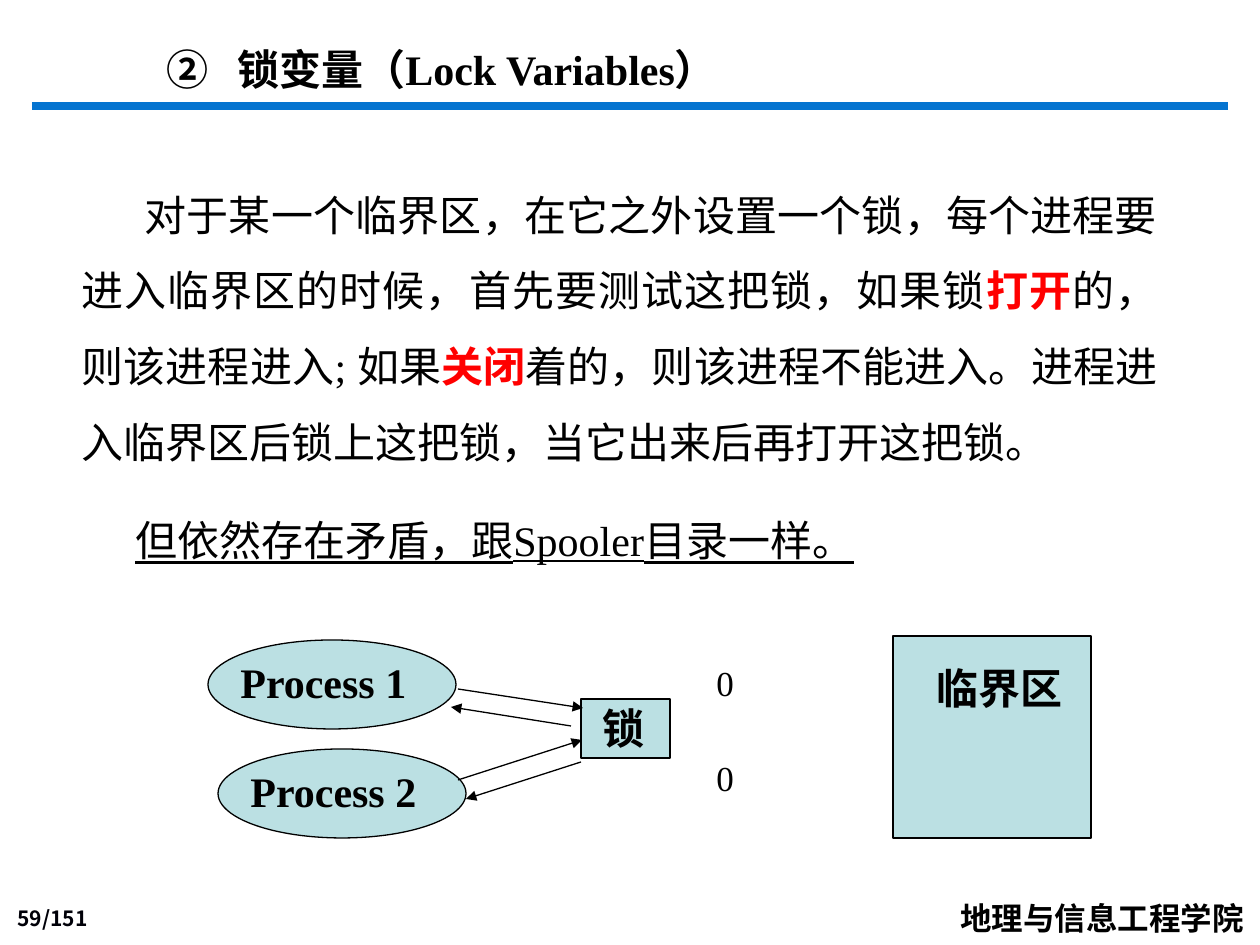
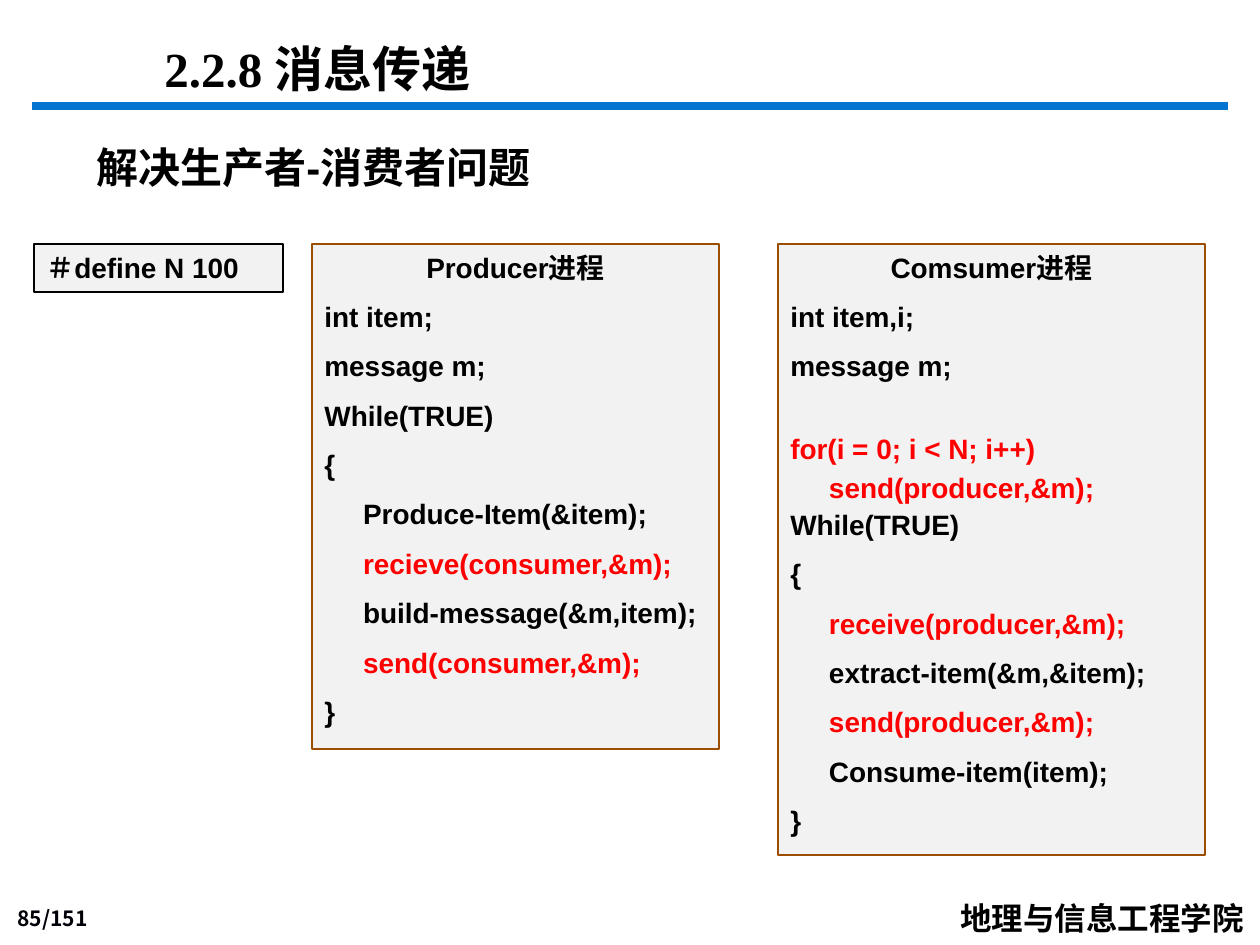
"""Build two lecture slides: lock variables and message passing."""
import dataclasses

import lxml.etree
import pptx
import pptx.dml.color
import pptx.enum.shapes
import pptx.enum.text
import pptx.oxml.ns
import pptx.util

ALIGN = pptx.enum.text.PP_ALIGN
ANCHOR = pptx.enum.text.MSO_ANCHOR
SHAPE = pptx.enum.shapes.MSO_SHAPE
PX = 914400 / 126


@dataclasses.dataclass(frozen=True)
class Theme:
    """Colours, typefaces and type sizes shared by the slides."""
    ink: str = "000000"
    number: str = "000008"
    accent: str = "FF0000"
    rule: str = "0574D0"
    diagram: str = "BBE0E3"
    panel: str = "F2F2F2"
    panel_edge: str = "9C4E00"
    serif: str = "Times New Roman"
    sans: str = "Arial"
    chinese: str = "Noto Sans CJK SC"
    number_face: str = "Noto Sans CJK JP"
    section: int = 28
    body: int = 24
    value: int = 20
    footer: int = 18
    code: int = 16
    small: int = 12
    rule_width: float = 4.5
    edge_width: float = 0.75


THEME = Theme()

SCHOOL = "地理与信息工程学院"
PAGE_TOTAL = 151
RULE = (32, 106, 1228, 106)
PAGE_BOX = (0, 900, 100, 37)
SCHOOL_BOX = (948, 893, 311, 50)

LOCK_TITLE = "锁变量（Lock Variables）"
LOCK_BODY = [
    ("对于某一个临界区，在它之外设置一个锁，每个进程要进入临界区的时候，首先要测试这把锁，如果锁", False),
    ("打开", True),
    ("的，则该进程进入; 如果", False),
    ("关闭", True),
    ("着的，则该进程不能进入。进程进入临界区后锁上这把锁，当它出来后再打开这把锁。", False),
]
LOCK_REMARK = "但依然存在矛盾，跟Spooler目录一样。"
LOCK_NODES = [
    ("临界区", SHAPE.RECTANGLE, (893, 636, 198, 202), (924, 656, 159, 63)),
    ("锁", SHAPE.RECTANGLE, (581, 699, 89, 59), (590, 696, 79, 63)),
    ("Process 1", SHAPE.OVAL, (208, 640, 248, 89), (228, 650, 258, 63)),
    ("Process 2", SHAPE.OVAL, (218, 749, 248, 89), (238, 759, 258, 63)),
]
LOCK_ARROWS = [
    (458, 689, 583, 708),
    (571, 726, 451, 707),
    (458, 780, 582, 740),
    (581, 762, 466, 799),
]
LOCK_VALUES = [("0", 655), ("0", 750)]

MESSAGE_TITLE = "2.2.8 消息传递"
MESSAGE_SUBTITLE = "解决生产者-消费者问题"
LINE_GAP = 9
DEFINE = [("＃define N 100", False, 0)]
PRODUCER = [
    ("Producer进程", False, 0),
    ("int item;", False, LINE_GAP),
    ("message m;", False, LINE_GAP),
    ("While(TRUE)", False, LINE_GAP),
    ("{", False, LINE_GAP),
    ("     Produce-Item(&item);", False, LINE_GAP),
    ("     recieve(consumer,&m);", True, LINE_GAP),
    ("     build-message(&m,item);", False, LINE_GAP),
    ("     send(consumer,&m);", True, LINE_GAP),
    ("}", False, LINE_GAP),
]
CONSUMER = [
    ("Comsumer进程", False, 0),
    ("int item,i;", False, LINE_GAP),
    ("message m;", False, LINE_GAP),
    ("for(i = 0; i < N; i++)", True, 28),
    ("     send(producer,&m);", True, 3),
    ("While(TRUE)", False, 2),
    ("{", False, LINE_GAP),
    ("     receive(producer,&m);", True, LINE_GAP),
    ("     extract-item(&m,&item);", False, LINE_GAP),
    ("     send(producer,&m);", True, LINE_GAP),
    ("     Consume-item(item);", False, LINE_GAP),
    ("}", False, LINE_GAP),
]
PANELS = [
    (PRODUCER, (312, 244, 407, 505), THEME.panel_edge, True),
    (DEFINE, (34, 244, 249, 48), THEME.ink, False),
    (CONSUMER, (778, 244, 427, 611), THEME.panel_edge, True),
]


def px(length):
    """Turn pixels into EMU."""
    return pptx.util.Emu(round(length * PX))


def scaled(lengths):
    """Turn several pixel lengths into EMU."""
    return [px(length) for length in lengths]


def rgb(color):
    """Turn a hex string into a colour."""
    return pptx.dml.color.RGBColor.from_string(color)


def add_element(parent, tag, **attributes):
    """Append a drawing element to its parent."""
    return lxml.etree.SubElement(parent, pptx.oxml.ns.qn(tag), **attributes)


def set_font(paragraph, size, face=THEME.serif, color=THEME.ink, bold=True):
    """Set the font that all runs of a paragraph share."""
    font = paragraph.font
    font.size, font.name, font.bold = pptx.util.Pt(size), face, bold
    font.color.rgb = rgb(color)
    return font


def add_text(shapes, box, text, size, wrap=True, align=ALIGN.LEFT, **font):
    """Add a text box with one paragraph."""
    frame = shapes.add_textbox(*scaled(box)).text_frame
    frame.word_wrap = wrap
    paragraph = frame.paragraphs[0]
    paragraph.text = text
    paragraph.alignment = align
    set_font(paragraph, size, **font)
    return frame


def indent(paragraph, left, first):
    """Set the left margin and first-line indent of a paragraph."""
    properties = paragraph._p.get_or_add_pPr()
    properties.set("marL", str(px(left)))
    properties.set("indent", str(px(first)))
    return properties


def add_line(slide, ends, color, width, arrow=False):
    """Add a straight line, with an arrowhead at its end if wanted."""
    line = slide.shapes.add_connector(
        pptx.enum.shapes.MSO_CONNECTOR.STRAIGHT, *scaled(ends))
    line.line.color.rgb = rgb(color)
    line.line.width = pptx.util.Pt(width)
    if arrow:
        add_element(line.line._get_or_add_ln(), "a:tailEnd", type="triangle")
    add_element(line._element.spPr, "a:effectLst")


def add_filled(shapes, kind, box, fill, edge):
    """Add a flat filled shape with a thin outline."""
    shape = shapes.add_shape(kind, *scaled(box))
    shape.shadow.inherit = False
    shape.fill.solid()
    shape.fill.fore_color.rgb = rgb(fill)
    shape.line.color.rgb = rgb(edge)
    shape.line.width = pptx.util.Pt(THEME.edge_width)
    return shape


def add_base(presentation, page):
    """Add a slide with the title rule, page number and school name."""
    slide = presentation.slides.add_slide(presentation.slide_layouts[6])
    add_line(slide, RULE, THEME.rule, THEME.rule_width)
    number = add_text(slide.shapes, PAGE_BOX, f"{page}/{PAGE_TOTAL}", THEME.small,
                      align=ALIGN.RIGHT, face=THEME.number_face, color=THEME.number)
    number.vertical_anchor = ANCHOR.BOTTOM
    add_text(slide.shapes, SCHOOL_BOX, SCHOOL, THEME.footer, wrap=False, face=THEME.chinese)
    return slide


def add_lock_body(slide):
    """Add the explanation with its highlighted words."""
    frame = add_text(slide.shapes, (69, 158, 1101, 318), "", THEME.body,
                     align=ALIGN.JUSTIFY, bold=None)
    paragraph = frame.paragraphs[0]
    paragraph.line_spacing = 1.5
    indent(paragraph, 0, 63)
    for text, highlighted in LOCK_BODY:
        run = paragraph.add_run()
        run.text = text
        if highlighted:
            run.font.bold = True
            run.font.color.rgb = rgb(THEME.accent)


def add_lock_title(slide):
    """Add the title with its circled number."""
    frame = slide.shapes.add_textbox(*scaled((154, 37, 1002, 63))).text_frame
    frame.word_wrap = True
    paragraph = frame.paragraphs[0]
    paragraph.text = LOCK_TITLE
    paragraph.alignment = ALIGN.JUSTIFY
    properties = indent(paragraph, 71, -71)
    add_element(properties, "a:buAutoNum", type="circleNumDbPlain", startAt="2")
    set_font(paragraph, THEME.body)


def build_lock_slide(presentation):
    """Build the slide on lock variables."""
    slide = add_base(presentation, 59)
    add_lock_body(slide)
    for label, kind, box, label_box in LOCK_NODES:
        group = slide.shapes.add_group_shape()
        add_filled(group.shapes, kind, box, THEME.diagram, THEME.ink)
        add_text(group.shapes, label_box, label, THEME.body)
    for ends in LOCK_ARROWS:
        add_line(slide, ends, THEME.ink, THEME.edge_width, arrow=True)
    remark = add_text(slide.shapes, (123, 508, 816, 63), LOCK_REMARK, THEME.body, bold=False)
    remark.paragraphs[0].font.underline = True
    add_lock_title(slide)
    for value, top in LOCK_VALUES:
        add_text(slide.shapes, (704, top, 43, 55), value, THEME.value, wrap=False, bold=False)


def add_panel(slide, lines, box, edge, headed):
    """Add a panel of code, centring its heading if it has one."""
    panel = add_filled(slide.shapes, SHAPE.RECTANGLE, box, THEME.panel, edge)
    frame = panel.text_frame
    frame.word_wrap = True
    frame.vertical_anchor = ANCHOR.TOP
    for index, (text, highlighted, space) in enumerate(lines):
        paragraph = frame.add_paragraph() if index else frame.paragraphs[0]
        paragraph.text = text
        paragraph.alignment = ALIGN.CENTER if headed and index == 0 else ALIGN.LEFT
        if space:
            paragraph.space_before = pptx.util.Pt(space)
        set_font(paragraph, THEME.code, THEME.sans,
                 THEME.accent if highlighted else THEME.ink)


def build_message_slide(presentation):
    """Build the slide on message passing."""
    slide = add_base(presentation, 85)
    for panel in PANELS:
        add_panel(slide, *panel)
    add_text(slide.shapes, (152, 32, 1002, 72), MESSAGE_TITLE, THEME.section)
    add_text(slide.shapes, (84, 135, 973, 63), MESSAGE_SUBTITLE, THEME.body, face=THEME.sans)


def main():
    """Build and save the presentation."""
    presentation = pptx.Presentation()
    presentation.slide_width, presentation.slide_height = scaled((1260, 945))
    build_lock_slide(presentation)
    build_message_slide(presentation)
    presentation.save("out.pptx")


if __name__ == "__main__":
    main()
